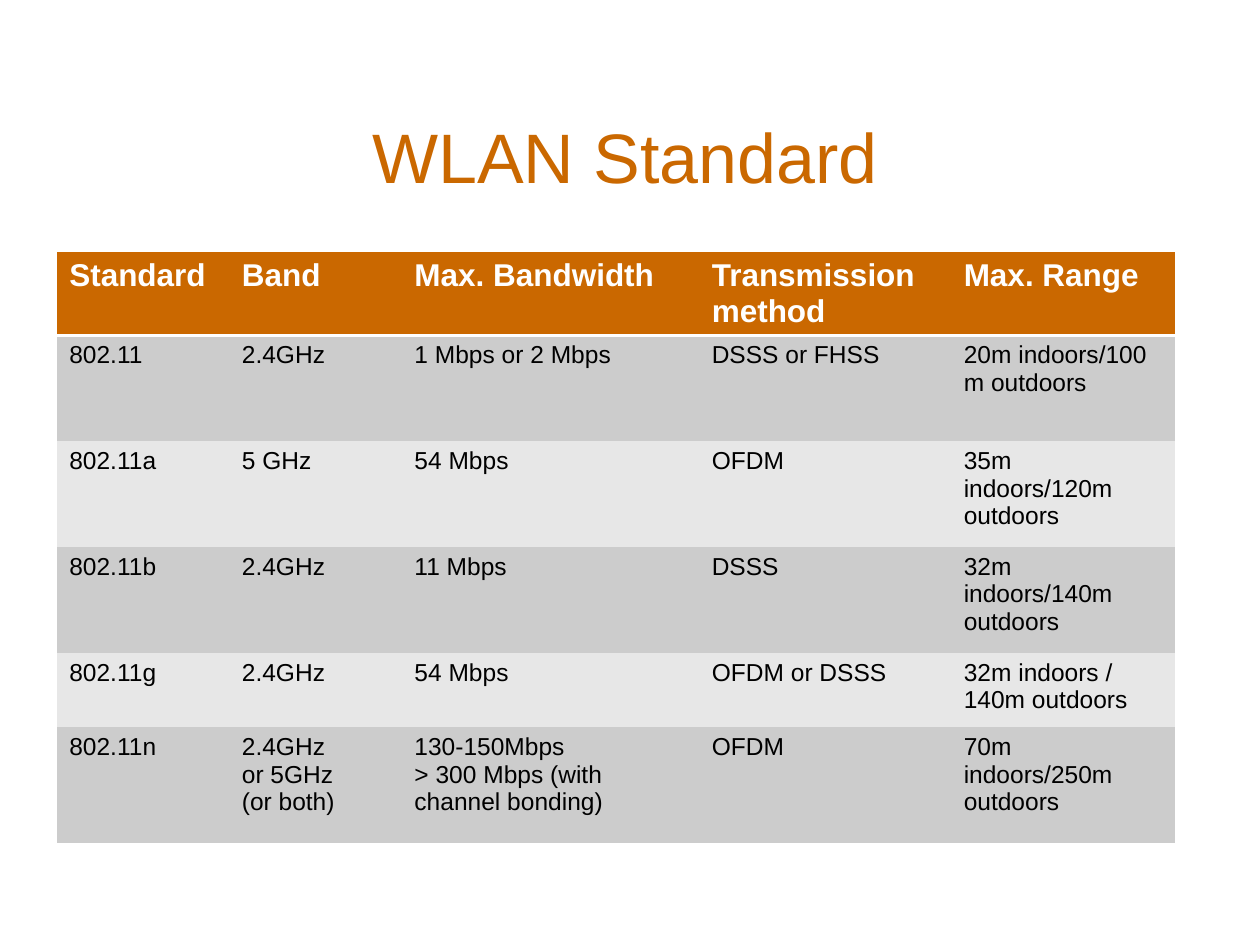
"""Build a title and table slide that compares the WLAN standards."""
from lxml import etree
from pptx import Presentation
from pptx import util as u
from pptx.dml.color import RGBColor
from pptx.enum import text
from pptx.oxml import ns

ORANGE = RGBColor(0xCA, 0x68, 0x00)
WHITE = RGBColor(0xFF, 0xFF, 0xFF)
BLACK = RGBColor(0, 0, 0)
DARK_BAND = RGBColor(0xCC, 0xCC, 0xCC)
LIGHT_BAND = RGBColor(0xE7, 0xE7, 0xE7)
NO_STYLE = "{2D5ABB26-0587-4C30-8999-92F81FD0307C}"

TITLE = "WLAN Standard"
ROWS = [
    ("Standard", "Band", "Max. Bandwidth", "Transmission method", "Max. Range"),
    ("802.11", "2.4GHz", "1 Mbps or 2 Mbps", "DSSS or FHSS", "20m indoors/100 m outdoors"),
    ("802.11a", "5 GHz", "54 Mbps", "OFDM", "35m indoors/120m outdoors"),
    ("802.11b", "2.4GHz", "11 Mbps", "DSSS", "32m indoors/140m outdoors"),
    ("802.11g", "2.4GHz", "54 Mbps", "OFDM or DSSS", "32m indoors / 140m outdoors"),
    ("802.11n", "2.4GHz\nor 5GHz\n(or both)",
     "130-150Mbps\n> 300 Mbps (with channel bonding)", "OFDM", "70m indoors/250m outdoors"),
]
COLUMN_WIDTHS = [1.37, 1.37, 2.36, 2, 1.78]
ROW_HEIGHTS = [0.65, 0.84, 0.84, 0.84, 0.59, 0.92]


def write_text(frame, content, size, color, bold=False, align=text.PP_ALIGN.LEFT):
    frame.text = content
    for paragraph in frame.paragraphs:
        paragraph.alignment = align
        for run in paragraph.runs:
            run.font.name = "Arial"
            run.font.size = u.Pt(size)
            run.font.bold = bold
            run.font.color.rgb = color


def add_bottom_border(cell, color, width):
    line = etree.Element(ns.qn("a:lnB"), w=str(u.Pt(width)))
    fill = etree.SubElement(line, ns.qn("a:solidFill"))
    etree.SubElement(fill, ns.qn("a:srgbClr"), val=str(color))
    cell._tc.get_or_add_tcPr().insert(0, line)


def add_title(slide):
    title = slide.shapes.title
    title.left, title.top = u.Inches(0.46), u.Inches(0.92)
    title.width, title.height = u.Inches(9), u.Inches(0.63)
    write_text(title.text_frame, TITLE, size=40, color=ORANGE, align=text.PP_ALIGN.CENTER)
    title.text_frame.vertical_anchor = text.MSO_ANCHOR.MIDDLE


def add_standards_table(slide):
    frame = slide.shapes.add_table(
        len(ROWS), len(COLUMN_WIDTHS), u.Inches(0.45), u.Inches(2),
        u.Inches(sum(COLUMN_WIDTHS)), u.Inches(sum(ROW_HEIGHTS)))
    table = frame.table
    table._tbl.tblPr.find(ns.qn("a:tableStyleId")).text = NO_STYLE
    for column, width in zip(table.columns, COLUMN_WIDTHS):
        column.width = u.Inches(width)
    for index, (row, height, values) in enumerate(zip(table.rows, ROW_HEIGHTS, ROWS)):
        row.height = u.Inches(height)
        header = index == 0
        band = ORANGE if header else DARK_BAND if index % 2 else LIGHT_BAND
        for cell, value in zip(row.cells, values):
            cell.fill.solid()
            cell.fill.fore_color.rgb = band
            write_text(cell.text_frame, value, size=18 if header else 14,
                       color=WHITE if header else BLACK, bold=header)
            if header:
                add_bottom_border(cell, WHITE, 2)


def main():
    presentation = Presentation()
    presentation.slide_width, presentation.slide_height = u.Inches(10), u.Inches(7.5)
    slide = presentation.slides.add_slide(presentation.slide_layouts[5])
    add_title(slide)
    add_standards_table(slide)
    presentation.save("out.pptx")


if __name__ == "__main__":
    main()
